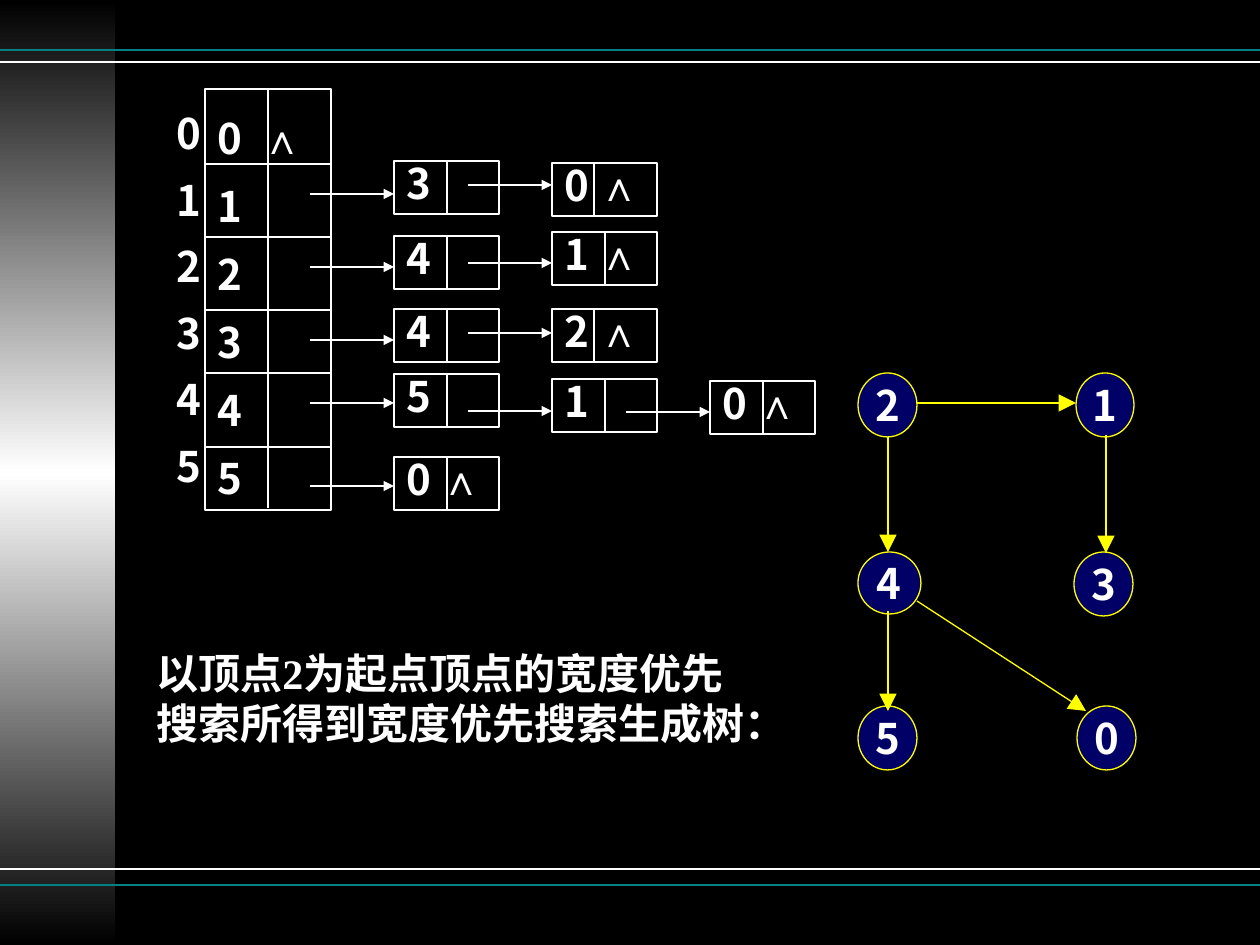
from copy import deepcopy

from lxml.etree import SubElement
from pptx import Presentation
from pptx.dml.color import RGBColor
from pptx.enum.shapes import MSO_CONNECTOR, MSO_SHAPE
from pptx.enum.text import MSO_ANCHOR, MSO_AUTO_SIZE, PP_ALIGN
from pptx.oxml.ns import qn
from pptx.util import Pt

PX = 914400 / 126
COLORS = {
    "black": "000000",
    "white": "FFFFFF",
    "teal": "008080",
    "navy": "000066",
    "yellow": "FFFF00",
}
CJK, SERIF, SANS = "Noto Sans CJK SC", "Times New Roman", "Arial"
NIL = "∧"

CELL_W, CELL_H, CELL_PITCH = 105, 53, 158
ARROW_LENGTH = 84
# Each cell: vertex, has next, top, divider offset, height of the incoming arrow
CHAINS = [
    [("3", True, 72, 53, 105), ("0", False, 74, 42, 96)],
    [("4", True, 147, 53, 178), ("1", False, 143, 53, 174)],
    [("4", True, 220, 53, 251), ("2", False, 220, 42, 244)],
    [("5", True, 285, 53, 314), ("1", True, 290, 53, 322), ("0", False, 292, 53, 323)],
    [("0", False, 368, 53, 397)],
]
# Vertex, left, top, width, height
TREE_NODES = [
    ("5", 0, 333, 59, 64),
    ("2", 0, 0, 59, 64),
    ("4", 0, 179, 63, 62),
    ("1", 218, 0, 58, 64),
    ("3", 216, 179, 59, 64),
    ("0", 219, 333, 59, 64),
]
TREE_EDGES = [
    (59, 30, 218, 30),
    (30, 64, 30, 179),
    (248, 62, 248, 180),
    (30, 238, 30, 338),
    (59, 228, 228, 338),
]


def emu(*lengths):
    return [round(length * PX) for length in lengths]


def rgb(name):
    return RGBColor.from_string(COLORS[name])


def add_span(para, text, font=CJK):
    span = para.add_run()
    span.text = text
    span.font.name = font
    span.font.size = Pt(24)
    span.font.bold = True
    span.font.color.rgb = rgb("white")
    return span


def fill_text(box, lines, spacing=None, space_before=0):
    """Write lines, each a list of (text, font) spans, into a box that grows."""
    frame = box.text_frame
    frame.word_wrap = True
    frame.auto_size = MSO_AUTO_SIZE.SHAPE_TO_FIT_TEXT
    frame.vertical_anchor = MSO_ANCHOR.TOP
    for index, spans in enumerate(lines):
        para = frame.add_paragraph() if index else frame.paragraphs[0]
        para.alignment = PP_ALIGN.LEFT
        if spacing:
            para.line_spacing = spacing
        if index and space_before:
            para.space_before = Pt(space_before)
        for text, font in spans:
            add_span(para, text, font)


def add_line(page, x1, y1, x2, y2, color="white", width=0.75, head=None):
    """Draw a line; head is the arrowhead size at its end, if any."""
    line = page.shapes.add_connector(MSO_CONNECTOR.STRAIGHT, *emu(x1, y1, x2, y2))
    line.line.color.rgb = rgb(color)
    line.line.width = Pt(width)
    if head:
        SubElement(line.line._get_or_add_ln(), qn("a:tailEnd"),
                   type="triangle", w=head, len=head)
    SubElement(line._element.spPr, qn("a:effectLst"))


def add_outline(page, kind, left, top, width, height, color="white", fill=None):
    shape = page.shapes.add_shape(kind, *emu(left, top, width, height))
    shape.shadow.inherit = False
    if fill:
        shape.fill.solid()
        shape.fill.fore_color.rgb = rgb(fill)
    else:
        shape.fill.background()
    shape.line.color.rgb = rgb(color)
    shape.line.width = Pt(0.75)
    return shape


def add_backdrop(page, width, height):
    page.background.fill.solid()
    page.background.fill.fore_color.rgb = rgb("black")

    band = page.shapes.add_shape(MSO_SHAPE.RECTANGLE, *emu(0, 0, 115, height))
    band.shadow.inherit = False
    band.line.fill.background()
    band.fill.gradient()
    band.fill.gradient_angle = 90
    stop_list = band._element.spPr.find(".//" + qn("a:gsLst"))
    stop_list.append(deepcopy(stop_list[0]))
    for stop, position, color in zip(band.fill.gradient_stops, (0, 0.5, 1),
                                     ("black", "white", "black")):
        stop.position = position
        stop.color.rgb = rgb(color)

    for y, color in ((50, "teal"), (62, "white"), (869, "white"), (885, "teal")):
        add_line(page, 0, y, width, y, color, width=1)


def add_caption(page, left, top, width, height):
    box = page.shapes.add_textbox(*emu(left, top, width, height))
    text = "以顶点2为起点顶点的宽度优先搜索所得到宽度优先搜索生成树："
    fill_text(box, [[(text, SERIF)]])
    span = box.text_frame.paragraphs[0].runs[0]
    SubElement(span.font._element, qn("a:ea"), typeface=CJK)


def add_vertex_table(page, left, top, width, height):
    """Draw the column of list heads, with the vertex numbers beside it."""
    table = add_outline(page, MSO_SHAPE.RECTANGLE, left, top, width, height)
    numbers = [[(str(vertex), CJK)] for vertex in range(6)]
    fill_text(table, [[("0\t", CJK), (NIL, SANS)]] + numbers[1:], spacing=1.35)
    properties = table.text_frame.paragraphs[0]._p.get_or_add_pPr()
    tabs = SubElement(properties, qn("a:tabLst"))
    SubElement(tabs, qn("a:tab"), pos=str(emu(44)[0]), algn="l")

    for y in (75, 148, 221, 284, 358, height):
        add_line(page, left, top + y, left + width, top + y)
    middle = left + width / 2
    add_line(page, middle, top, middle, top + height - 2)

    labels = page.shapes.add_textbox(*emu(left - 41, top + 22, 63, 386))
    fill_text(labels, numbers, spacing=0.8, space_before=15)


def add_list_cell(page, left, top, vertex, has_next, divider):
    cell = add_outline(page, MSO_SHAPE.RECTANGLE, left, top, CELL_W, CELL_H)
    spans = [(vertex, CJK)] if has_next else [(vertex + " ", CJK), (NIL, SANS)]
    fill_text(cell, [spans], spacing=0.8)
    add_line(page, left + divider, top, left + divider, top + CELL_H)


def add_adjacency_list(page, left, top):
    add_vertex_table(page, left, top, 126, 421)
    for chain in CHAINS:
        for index, (vertex, has_next, cell_top, divider, arrow_y) in enumerate(chain):
            x, y = left + 189 + index * CELL_PITCH, top + arrow_y
            add_list_cell(page, x, top + cell_top, vertex, has_next, divider)
            add_line(page, x - ARROW_LENGTH, y, x, y, head="med")


def add_spanning_tree(page, left, top):
    for vertex, x, y, width, height in TREE_NODES:
        node = add_outline(page, MSO_SHAPE.OVAL, left + x, top + y, width, height,
                           "yellow", "navy")
        node.text_frame.word_wrap = False
        node.text_frame.vertical_anchor = MSO_ANCHOR.MIDDLE
        para = node.text_frame.paragraphs[0]
        para.alignment = PP_ALIGN.CENTER
        add_span(para, vertex)
    for x1, y1, x2, y2 in TREE_EDGES:
        add_line(page, left + x1, top + y1, left + x2, top + y2, "yellow", head="lg")


def main():
    deck = Presentation()
    deck.slide_width, deck.slide_height = emu(1260, 945)
    page = deck.slides.add_slide(deck.slide_layouts[6])
    add_backdrop(page, 1260, 945)
    add_caption(page, 144, 641, 625, 113)
    add_spanning_tree(page, 858, 373)
    add_adjacency_list(page, 205, 89)
    deck.save("out.pptx")


if __name__ == "__main__":
    main()
